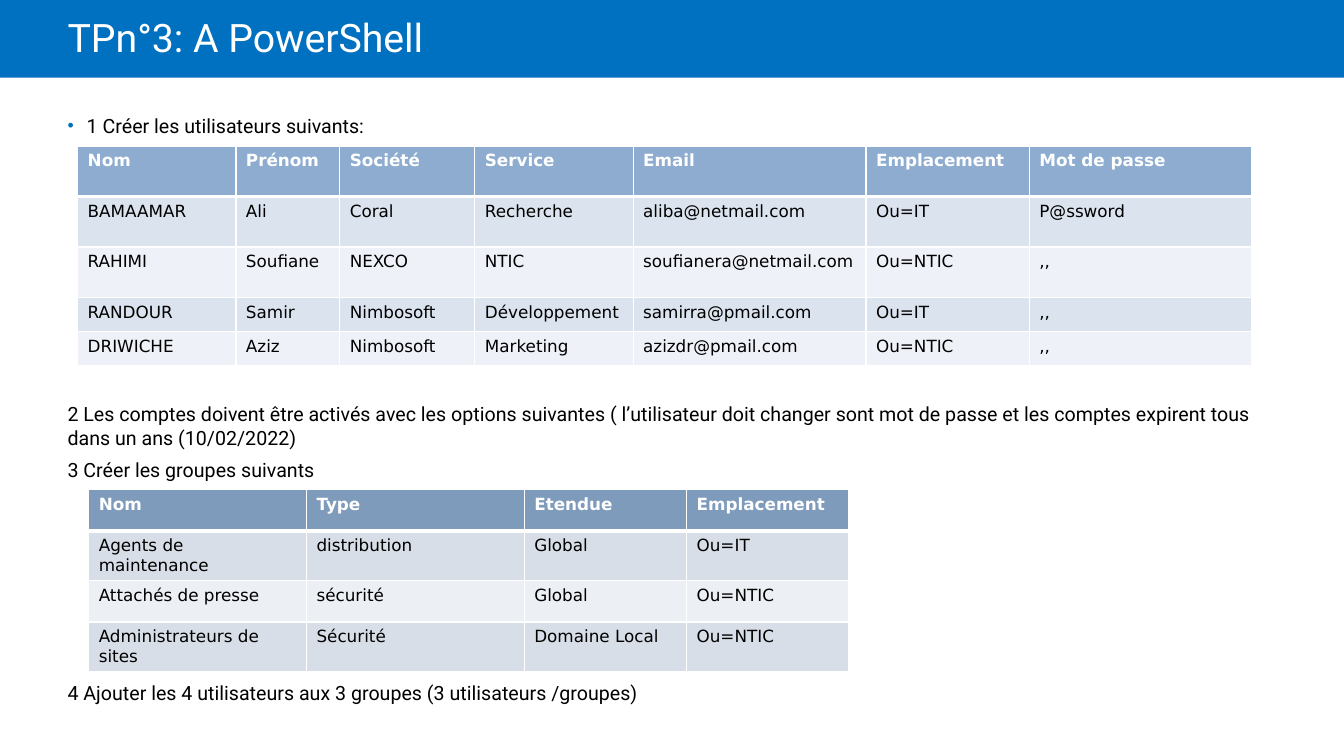
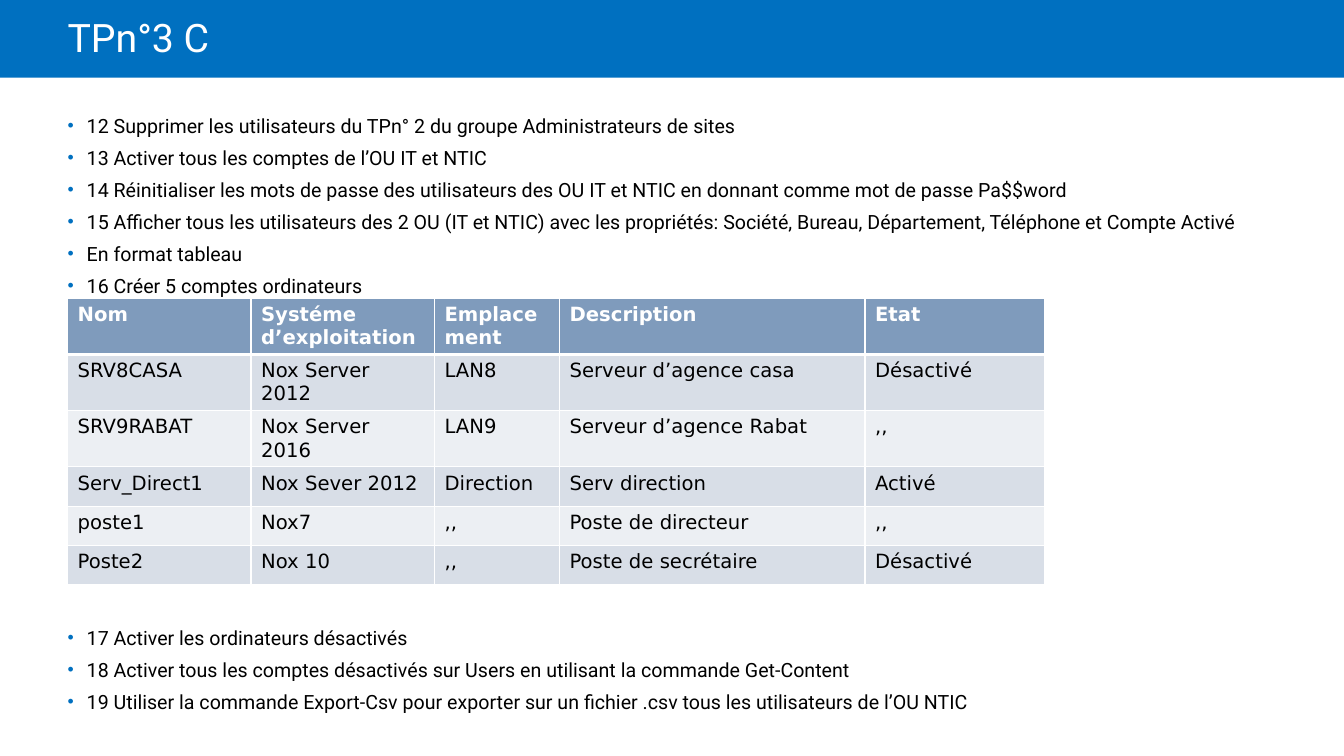
from lxml import etree
from pptx import Presentation
from pptx.dml.color import RGBColor
from pptx.enum.shapes import MSO_SHAPE
from pptx.enum.text import MSO_ANCHOR, MSO_AUTO_SIZE, PP_ALIGN
from pptx.oxml.ns import qn
from pptx.util import Emu, Pt

RECTANGLE = MSO_SHAPE.RECTANGLE
MIDDLE = MSO_ANCHOR.MIDDLE
NO_AUTOFIT = MSO_AUTO_SIZE.NONE
LEFT = PP_ALIGN.LEFT

PX = 9144
SLIDE_SIZE = (1333, 750)
BAND_BOX = (0, 0, 1333, 77)
TITLE_BOX = (67, 0, 1134, 81)
BODY_BOX = (67, 113, 1184, 615)
BULLET_INDENT = 19
LINE_GAP = 6

TEXT_FONT = "Roboto"
TABLE_FONT = "DejaVu Sans"
COLORS = {"accent": "0070C0", "white": "FFFFFF", "black": "000000"}
BLUE_TABLE = {"header": "8DACD0", "bands": ("DBE3EE", "EEF1F7")}
SLATE_TABLE = {"header": "7F9BBC", "bands": ("D8DEE7", "ECEFF3")}
BORDERS = ("a:lnL", "a:lnR", "a:lnT", "a:lnB")

USERS = {
    "at": (77, 145), "size": 12, "palette": BLUE_TABLE,
    "columns": (157, 103, 134, 157, 231, 162, 220),
    "heights": (50, 50, 50, 34, 34),
    "rows": [
        ("Nom", "Prénom", "Société", "Service", "Email", "Emplacement", "Mot de passe"),
        ("BAMAAMAR", "Ali", "Coral", "Recherche", "aliba@netmail.com", "Ou=IT", "P@ssword"),
        ("RAHIMI", "Soufiane", "NEXCO", "NTIC", "soufianera@netmail.com", "Ou=NTIC", ",,"),
        ("RANDOUR", "Samir", "Nimbosoft", "Développement", "samirra@pmail.com", "Ou=IT", ",,"),
        ("DRIWICHE", "Aziz", "Nimbosoft", "Marketing", "azizdr@pmail.com", "Ou=NTIC", ",,"),
    ],
}
GROUPS = {
    "at": (88, 486), "size": 12, "palette": SLATE_TABLE,
    "columns": (216, 216, 161, 161),
    "heights": (41, 49, 41, 49),
    "rows": [
        ("Nom", "Type", "Etendue", "Emplacement"),
        ("Agents de maintenance", "distribution", "Global", "Ou=IT"),
        ("Attachés de presse", "sécurité", "Global", "Ou=NTIC"),
        ("Administrateurs de sites", "Sécurité", "Domaine Local", "Ou=NTIC"),
    ],
}
COMPUTERS = {
    "at": (67, 296), "size": 14, "palette": SLATE_TABLE,
    "columns": (182, 182, 124, 303, 178),
    "heights": (55, 55, 55, 39, 39, 39),
    "rows": [
        ("Nom", "Systéme d’exploitation", "Emplacement", "Description", "Etat"),
        ("SRV8CASA", "Nox Server 2012", "LAN8", "Serveur d’agence casa", "Désactivé"),
        ("SRV9RABAT", "Nox Server 2016", "LAN9", "Serveur d’agence Rabat", ",,"),
        ("Serv_Direct1", "Nox Sever 2012", "Direction", "Serv direction", "Activé"),
        ("poste1", "Nox7", ",,", "Poste de directeur", ",,"),
        ("Poste2", "Nox 10", ",,", "Poste de secrétaire", "Désactivé"),
    ],
}

SLIDES = [
    {
        "title": "TPn°3: A PowerShell",
        "lines": [
            "1 Créer les utilisateurs suivants:",
            "2 Les comptes doivent être activés avec les options suivantes ( l’utilisateur doit "
            "changer sont mot de passe et les comptes expirent tous dans un ans (10/02/2022)",
            "3 Créer les groupes suivants",
            "4 Ajouter les 4 utilisateurs aux 3 groupes (3 utilisateurs /groupes)",
        ],
        "bulleted": (0,),
        "gaps": {1: 189, 3: 143},
        "tables": [USERS, GROUPS],
    },
    {
        "title": "TPn°3 C",
        "lines": [
            "12 Supprimer les utilisateurs du TPn° 2 du groupe Administrateurs de sites",
            "13 Activer tous les comptes de l’OU IT et NTIC",
            "14 Réinitialiser les mots de passe des utilisateurs des OU IT et NTIC en donnant "
            "comme mot de passe Pa$$word",
            "15 Afficher tous les utilisateurs des 2 OU (IT et NTIC) avec les propriétés: "
            "Société, Bureau, Département, Téléphone et Compte Activé",
            "En format tableau",
            "16 Créer 5 comptes ordinateurs",
            "17 Activer les ordinateurs désactivés",
            "18 Activer tous les comptes désactivés sur Users en utilisant la commande Get-Content",
            "19 Utiliser la commande Export-Csv pour exporter sur un fichier .csv tous les "
            "utilisateurs de l’OU NTIC",
        ],
        "bulleted": range(9),
        "gaps": {6: 235},
        "tables": [COMPUTERS],
    },
]


def px(*lengths):
    return [Emu(length * PX) for length in lengths]


def place(shape, box):
    shape.left, shape.top, shape.width, shape.height = px(*box)


def style_runs(paragraph, font_name, size, color, bold=False):
    for run in paragraph.runs:
        run.font.name = font_name
        run.font.size = Pt(size)
        run.font.bold = bold
        run.font.color.rgb = RGBColor.from_string(COLORS[color])


def set_frame(text_frame, margins):
    text_frame.word_wrap = True
    text_frame.auto_size = NO_AUTOFIT
    (text_frame.margin_left, text_frame.margin_top,
     text_frame.margin_right, text_frame.margin_bottom) = px(*margins)


def add_child(parent, tag, **attributes):
    return etree.SubElement(parent, qn(tag), attributes)


def set_bullet(paragraph, bulleted):
    properties = paragraph._p.get_or_add_pPr()
    indent = BULLET_INDENT * PX if bulleted else 0
    properties.set("marL", str(indent))
    properties.set("indent", str(-indent))
    if not bulleted:
        add_child(properties, "a:buNone")
        return
    color = add_child(properties, "a:buClr")
    add_child(color, "a:srgbClr", val=COLORS["accent"])
    add_child(properties, "a:buSzPct", val="90000")
    add_child(properties, "a:buFont", typeface="Arial")
    add_child(properties, "a:buChar", char="•")


def prepare_layout(layout, slide):
    band = slide.shapes.add_shape(RECTANGLE, *px(*BAND_BOX))
    band.shadow.inherit = False
    band.fill.solid()
    band.fill.fore_color.rgb = RGBColor.from_string(COLORS["accent"])
    band.line.fill.background()
    layout.shapes.element.insert(2, band.element)
    place(layout.placeholders[0], TITLE_BOX)
    place(layout.placeholders[1], BODY_BOX)


def fill_title(shape, text):
    text_frame = shape.text_frame
    text_frame.text = text
    set_frame(text_frame, (0, 5, 10, 5))
    text_frame.vertical_anchor = MIDDLE
    paragraph = text_frame.paragraphs[0]
    paragraph.alignment = LEFT
    paragraph.line_spacing = 0.85
    style_runs(paragraph, TEXT_FONT, 28, "white")


def fill_body(shape, content):
    text_frame = shape.text_frame
    text_frame.text = "\n".join(content["lines"])
    set_frame(text_frame, (0, 0, 0, 0))
    for index, paragraph in enumerate(text_frame.paragraphs):
        paragraph.space_before = Pt(content["gaps"].get(index, LINE_GAP))
        set_bullet(paragraph, index in content["bulleted"])
        style_runs(paragraph, TEXT_FONT, 14, "black")


def set_borders(cell, bottom_width):
    properties = cell._tc.get_or_add_tcPr()
    for tag in BORDERS:
        width = bottom_width if tag == "a:lnB" else 1
        line = add_child(properties, tag, w=str(Pt(width)))
        fill = add_child(line, "a:solidFill")
        add_child(fill, "a:srgbClr", val=COLORS["white"])


def add_data_table(slide, data):
    rows, columns, heights = data["rows"], data["columns"], data["heights"]
    box = (*data["at"], sum(columns), sum(heights))
    table = slide.shapes.add_table(len(rows), len(columns), *px(*box)).table
    for column, width in zip(table.columns, px(*columns)):
        column.width = width
    for row, height in zip(table.rows, px(*heights)):
        row.height = height
    palette = data["palette"]
    for row_index, values in enumerate(rows):
        header = row_index == 0
        fill = palette["header"] if header else palette["bands"][(row_index - 1) % 2]
        for column_index, value in enumerate(values):
            cell = table.cell(row_index, column_index)
            cell.text_frame.text = value
            set_borders(cell, 3 if header else 1)
            cell.fill.solid()
            cell.fill.fore_color.rgb = RGBColor.from_string(fill)
            style_runs(cell.text_frame.paragraphs[0], TABLE_FONT, data["size"],
                       "white" if header else "black", header)


def main():
    presentation = Presentation()
    presentation.slide_width, presentation.slide_height = px(*SLIDE_SIZE)
    layout = presentation.slide_layouts[1]
    for index, content in enumerate(SLIDES):
        slide = presentation.slides.add_slide(layout)
        if index == 0:
            prepare_layout(layout, slide)
        fill_title(slide.shapes.title, content["title"])
        fill_body(slide.placeholders[1], content)
        for data in content["tables"]:
            add_data_table(slide, data)
    presentation.save("out.pptx")


if __name__ == "__main__":
    main()
